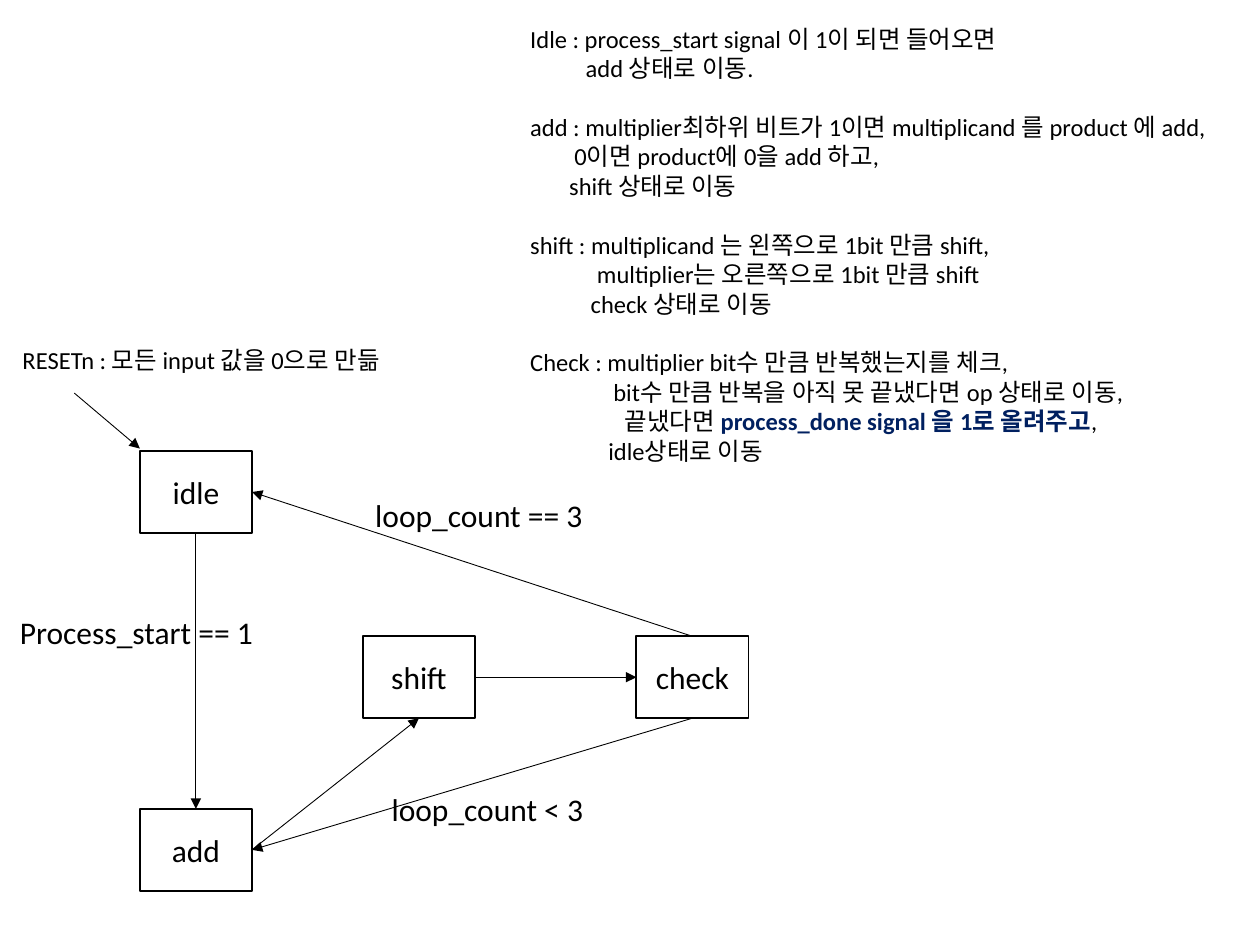
from pptx import Presentation
from pptx.dml.color import RGBColor
from pptx.enum import shapes, text
from pptx.oxml.ns import qn
from pptx.util import Inches, Pt
from lxml import etree

BLACK, WHITE, NAVY = "000000", "FFFFFF", "002060"
FONT = "Calibri"
BOX_W, BOX_H = 0.89, 0.65
TOP, LEFT, BOTTOM, RIGHT = range(4)  # connection sites of a rectangle

STATES = {"idle": (1.11, 3.58), "check": (5.05, 5.05),
          "add": (1.11, 6.42), "shift": (2.88, 5.05)}
TRANSITIONS = [
    ("idle", BOTTOM, "add", TOP),
    ("add", RIGHT, "shift", BOTTOM),
    ("shift", RIGHT, "check", LEFT),
    ("check", BOTTOM, "add", RIGHT),
    ("check", TOP, "idle", RIGHT),
]
RESET_ARROW = (0.59, 3.12, 1.11, 3.56)
CONDITIONS = [
    ("loop_count == 3", 2.88, 3.89, 1.87),
    ("loop_count < 3", 3.01, 6.22, 1.74),
    ("Process_start == 1", 0.06, 4.82, 2.07),
]
RESET_NOTE = "RESETn : 모든 input 값을 0으로 만듦"
# Each group describes one state: (indent in inches, runs); a run is (text, bold)
NOTES = [
    [(0, [("Idle : process_start signal 이 1이 되면 들어오면", False)]),
     (0.44, [("add 상태로 이동.", False)])],
    [(0, [("add : multiplier최하위 비트가 1이면 multiplicand 를 product 에 add,", False)]),
     (0.35, [("0이면 product에 0을 add 하고,", False)]),
     (0.31, [("shift 상태로 이동", False)])],
    [(0, [("shift : multiplicand 는 왼쪽으로 1bit 만큼 shift,", False)]),
     (0.53, [("multiplier는 오른쪽으로 1bit 만큼 shift", False)]),
     (0.48, [("check 상태로 이동", False)])],
    [(0, [("Check : multiplier bit수 만큼 반복했는지를 체크,", False)]),
     (0.66, [("bit수 만큼 반복을 아직 못 끝냈다면 op 상태로 이동,", False)]),
     (0.75, [("끝냈다면 ", False), ("process_done signal 을 1로 올려주고", True),
             (",", False)]),
     (0.62, [("idle상태로 이동", False)])],
]


def rgb(value):
    """Turn a hex string into a colour."""
    return RGBColor.from_string(value)


def add_run(p, words, size, color=BLACK, bold=False):
    """Append one formatted run to a paragraph."""
    r = p.add_run()
    r.text = words
    r.font.name, r.font.size, r.font.bold = FONT, Pt(size), bold
    r.font.color.rgb = rgb(color)


def add_text(s, x, y, w, h, wrap=True):
    """Add an empty text box and return its text frame."""
    tf = s.shapes.add_textbox(*map(Inches, (x, y, w, h))).text_frame
    tf.word_wrap = wrap
    return tf


def add_state(s, name, x, y):
    """Draw one state box with its name."""
    sp = s.shapes.add_shape(shapes.MSO_SHAPE.RECTANGLE,
                            *map(Inches, (x, y, BOX_W, BOX_H)))
    sp.shadow.inherit = False
    sp.fill.solid()
    sp.fill.fore_color.rgb = rgb(WHITE)
    sp.line.color.rgb = rgb(BLACK)
    sp.line.width = Pt(1)
    tf = sp.text_frame
    tf.vertical_anchor = text.MSO_ANCHOR.MIDDLE
    p = tf.paragraphs[0]
    p.alignment = text.PP_ALIGN.CENTER
    add_run(p, name, 18)
    return sp


def add_arrow(s, x1=0, y1=0, x2=0, y2=0):
    """Draw a thin line with an arrowhead at its end."""
    line = s.shapes.add_connector(shapes.MSO_CONNECTOR.STRAIGHT,
                                  *map(Inches, (x1, y1, x2, y2)))
    line.line.color.rgb = rgb(BLACK)
    line.line.width = Pt(0.5)
    etree.SubElement(line.line._get_or_add_ln(), qn("a:tailEnd"), type="triangle")
    etree.SubElement(line._element.spPr, qn("a:effectLst"))
    return line


def add_notes(s):
    """Write the state descriptions, one spaced group per state."""
    tf = add_text(s, 4.11, 0.14, 5.76, 3.64)
    p = tf.paragraphs[0]
    for g, group in enumerate(NOTES):
        for i, (indent, runs) in enumerate(group):
            if g or i:
                p = tf.add_paragraph()
            if g and not i:
                p.space_before = Pt(16.8)
            pPr = p._p.get_or_add_pPr()
            pPr.set("marL", str(Inches(indent)))
            pPr.set("indent", "0")
            for words, bold in runs:
                add_run(p, words, 14, NAVY if bold else BLACK, bold)


prs = Presentation()
prs.slide_width, prs.slide_height = Inches(10), Inches(7.5)
s = prs.slides.add_slide(prs.slide_layouts[6])

add_notes(s)
boxes = {name: add_state(s, name, *at) for name, at in STATES.items()}
for start, start_site, end, end_site in TRANSITIONS:
    arrow = add_arrow(s)
    arrow.begin_connect(boxes[start], start_site)
    arrow.end_connect(boxes[end], end_site)
add_arrow(s, *RESET_ARROW)

add_run(add_text(s, 0.08, 2.69, 3.19, 0.56).paragraphs[0], RESET_NOTE, 14)
for words, x, y, w in CONDITIONS:
    add_run(add_text(s, x, y, w, 0.4, wrap=False).paragraphs[0], words, 18)

prs.save("out.pptx")
